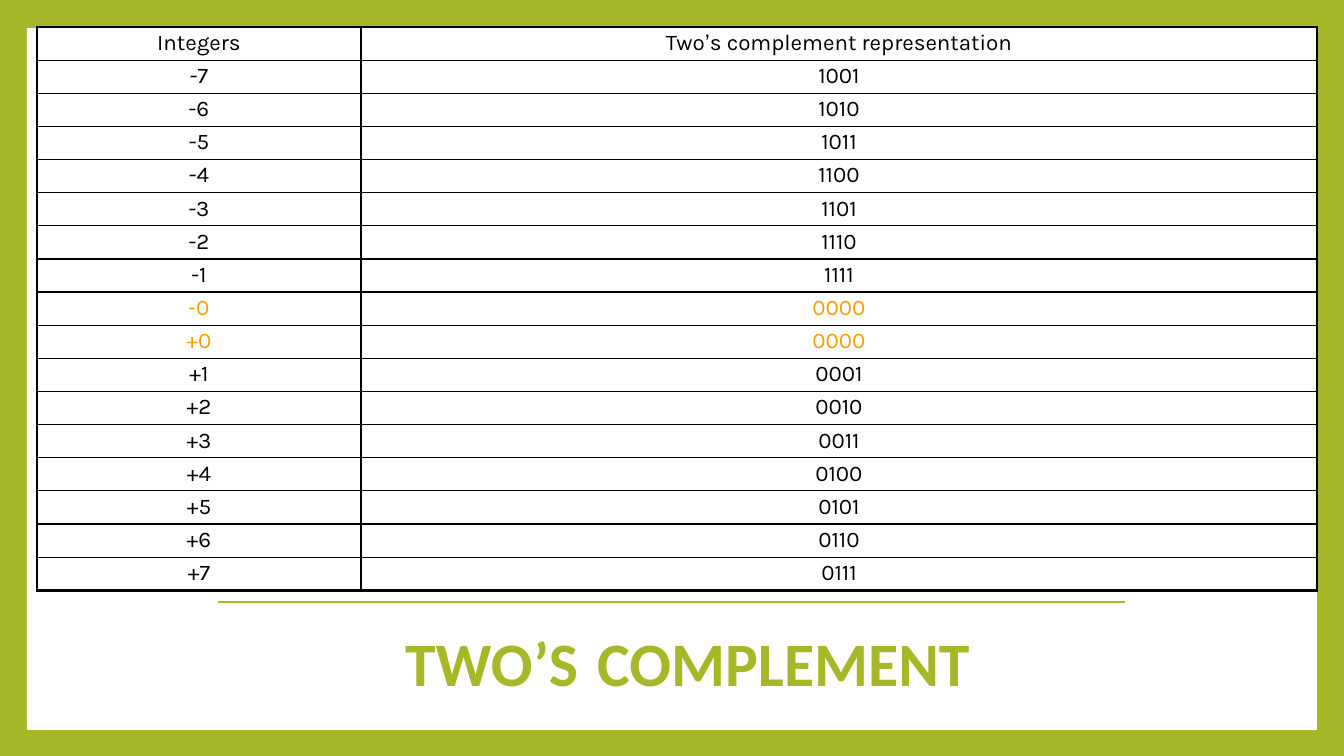
from lxml import etree
from pptx import Presentation
from pptx.dml.color import RGBColor
from pptx.enum.shapes import MSO_CONNECTOR, MSO_SHAPE
from pptx.enum.text import MSO_ANCHOR, PP_ALIGN
from pptx.oxml.ns import qn
from pptx.util import Pt

RECT = MSO_SHAPE.RECTANGLE
LINE = MSO_CONNECTOR.STRAIGHT
CENTER = PP_ALIGN.CENTER
BOTTOM = MSO_ANCHOR.BOTTOM

ROWS = [
    ("Integers", "Two’s complement representation"),
    ("-7", "1001"),
    ("-6", "1010"),
    ("-5", "1011"),
    ("-4", "1100"),
    ("-3", "1101"),
    ("-2", "1110"),
    ("-1", "1111"),
    ("-0", "0000"),
    ("+0", "0000"),
    ("+1", "0001"),
    ("+2", "0010"),
    ("+3", "0011"),
    ("+4", "0100"),
    ("+5", "0101"),
    ("+6", "0110"),
    ("+7", "0111"),
]
TITLE = [("TWO’S", 44.1), (" ", 59.4), ("COMPLEMENT", 44.1)]
COLORS = {"green": "A6B727", "white": "FFFFFF", "black": "000000", "zero": "F59E00"}
PANELS = [((0, 0, 1344, 756), "green"), ((27, 28, 1290, 702), "white")]
RULE = (218, 602, 1125, 602)
HEAD = (269, 633, 837, 75)
GRID = (37, 27, 1280, 564)
COLS = (324, 956)
PAD = {"margin_left": 6, "margin_right": 6, "margin_top": 3, "margin_bottom": 3}
THIN, THICK = 1, 2.25
SCALE = 914400 / 100.8


def px(n):
    return round(n * SCALE)


def box(lengths):
    return [px(n) for n in lengths]


def color(name):
    return RGBColor.from_string(COLORS[name])


def write(para, text, tint, **form):
    run = para.add_run()
    run.text = text
    for key, value in form.items():
        setattr(run.font, key, value)
    run.font.color.rgb = color(tint)


def border(cell, sides):
    props = cell._tc.get_or_add_tcPr()
    for spot, (side, width) in enumerate(sides.items()):
        line = etree.Element(qn(f"a:ln{side}"), w=str(Pt(width)))
        fill = etree.SubElement(line, qn("a:solidFill"))
        etree.SubElement(fill, qn("a:srgbClr"), val=COLORS["black"])
        props.insert(spot, line)


def add_panels(slide):
    for area, tint in PANELS:
        panel = slide.shapes.add_shape(RECT, *box(area))
        panel.shadow.inherit = False
        panel.fill.solid()
        panel.fill.fore_color.rgb = color(tint)
        panel.line.fill.background()


def add_rule(slide):
    rule = slide.shapes.add_connector(LINE, *box(RULE))
    rule.line.color.rgb = color("green")
    rule.line.width = Pt(0.79)
    etree.SubElement(rule._element.spPr, qn("a:effectLst"))


def add_title(slide):
    frame = slide.shapes.add_textbox(*box(HEAD)).text_frame
    frame.word_wrap = True
    frame.vertical_anchor = BOTTOM
    para = frame.paragraphs[0]
    para.alignment = CENTER
    para.line_spacing = 0.85
    for text, size in TITLE:
        write(para, text, "green", name="Calibri", size=Pt(size), bold=True)


def add_grid(slide):
    count, last = len(ROWS), len(COLS) - 1
    table = slide.shapes.add_table(count, len(COLS), *box(GRID)).table
    table.first_row = table.horz_banding = False
    for col, width in zip(table.columns, COLS):
        col.width = px(width)
    for r, texts in enumerate(ROWS):
        table.rows[r].height = px(GRID[3] / count)
        tint = "zero" if texts[1] == "0000" else "black"
        for c, text in enumerate(texts):
            cell = table.cell(r, c)
            for key, value in PAD.items():
                setattr(cell, key, px(value))
            cell.fill.background()
            edges = {"L": c == 0, "R": c == last, "T": r == 0, "B": r == count - 1}
            border(cell, {s: THICK if out else THIN for s, out in edges.items()})
            para = cell.text_frame.paragraphs[0]
            para.alignment = CENTER
            start, mark, rest = text.partition("’")
            for part, font in ((start, "Karla"), (mark, "Arial"), (rest, "Karla")):
                if part:
                    write(para, part, tint, name=font, size=Pt(16))


def main():
    deck = Presentation()
    deck.slide_width, deck.slide_height = box((1344, 756))
    slide = deck.slides.add_slide(deck.slide_layouts[6])
    slide.background.fill.solid()
    slide.background.fill.fore_color.rgb = color("green")
    for add in (add_panels, add_rule, add_title, add_grid):
        add(slide)
    deck.save("out.pptx")


if __name__ == "__main__":
    main()
